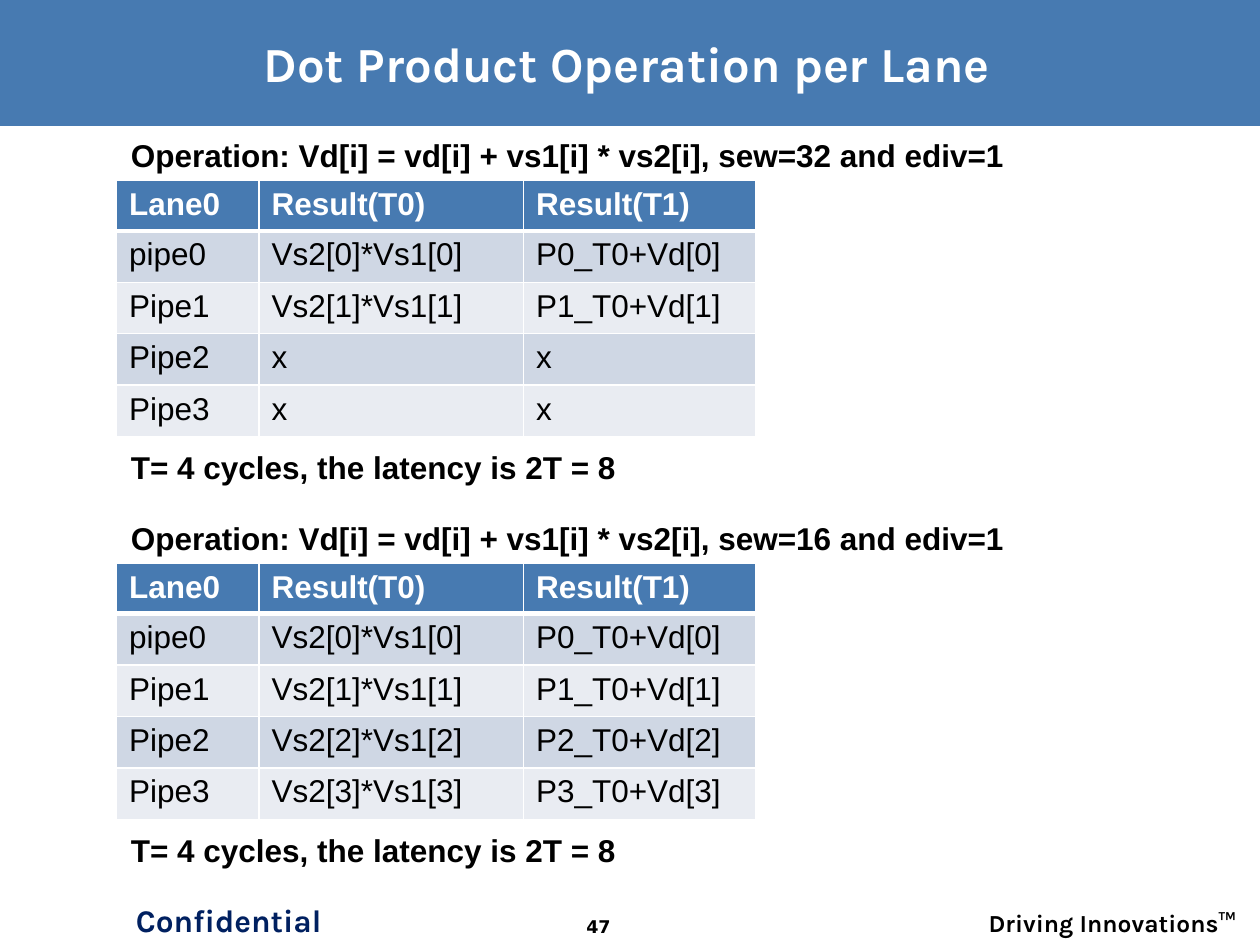
import dataclasses

import lxml.etree
import pptx
import pptx.dml.color
import pptx.enum.shapes
import pptx.enum.text
import pptx.oxml.ns
import pptx.util

Pt = pptx.util.Pt
ALIGN = pptx.enum.text.PP_ALIGN
BLUE, WHITE, BLACK, NAVY = "477AB1", "FFFFFF", "000000", "002060"
BAND_COLOURS = ("CFD7E4", "E9ECF2")
COLUMN_WIDTHS = (81.4, 151.2, 132.5)
HEADER_HEIGHT, ROW_HEIGHT = 27.5, 29.4
HEADINGS = ("Lane0", "Result(T0)", "Result(T1)")
PIPES = ("pipe0", "Pipe1", "Pipe2", "Pipe3")


@dataclasses.dataclass
class Label:
    text: str
    left: float
    top: float
    width: float
    height: float
    size: float = 18
    font: str = "Arial"
    colour: str = BLACK
    align: ALIGN = ALIGN.LEFT


@dataclasses.dataclass
class Section:
    element_width: int
    active_pipes: int
    top: float
    latency_top: float


FOOTERS = (
    Label("Confidential", 67.7, 511.2, 126, 30.2, 18, "Karla", NAVY, ALIGN.CENTER),
    Label("Driving Innovations™", 542.9, 515.5, 170.6, 19.4, 14, "Karla", BLACK, ALIGN.RIGHT),
    Label("47", 308.9, 519.8, 66.2, 20.2, 10, "DejaVu Sans", BLACK, ALIGN.CENTER),
)
SECTIONS = (Section(32, 2, 74.2, 252.7), Section(16, 4, 293, 471.6))


def rgb(colour: str) -> pptx.dml.color.RGBColor:
    return pptx.dml.color.RGBColor.from_string(colour)


def format_text(text_frame, size: float, font: str, colour: str, bold: bool, align) -> None:
    for paragraph in text_frame.paragraphs:
        paragraph.alignment = align
        for run in paragraph.runs:
            run.font.size = Pt(size)
            run.font.name = font
            run.font.bold = bold
            run.font.color.rgb = rgb(colour)


def add_label(slide, label: Label) -> None:
    shape = slide.shapes.add_textbox(
        Pt(label.left), Pt(label.top), Pt(label.width), Pt(label.height))
    shape.text_frame.word_wrap = True
    shape.text_frame.text = label.text
    format_text(shape.text_frame, label.size, label.font, label.colour, True, label.align)


def add_child(parent, tag: str, **attributes: str):
    return lxml.etree.SubElement(parent, pptx.oxml.ns.qn(tag), attributes)


def set_borders(cell, bottom_width: float) -> None:
    properties = cell._tc.get_or_add_tcPr()
    widths = {"a:lnL": 1, "a:lnR": 1, "a:lnT": 1, "a:lnB": bottom_width}
    for position, (tag, width) in enumerate(widths.items()):
        line = add_child(properties, tag, w=str(Pt(width)))
        add_child(add_child(line, "a:solidFill"), "a:srgbClr", val=WHITE)
        properties.insert(position, line)  # borders come before the fill


def add_banner_and_title(slide) -> None:
    banner = slide.shapes.add_shape(
        pptx.enum.shapes.MSO_SHAPE.RECTANGLE, 0, 0, Pt(720), Pt(72))
    banner.shadow.inherit = False
    banner.fill.solid()
    banner.fill.fore_color.rgb = rgb(BLUE)
    banner.line.fill.background()
    title = slide.shapes.title
    title._element.addprevious(banner._element)  # banner lies behind the title

    title.left, title.top, title.width, title.height = Pt(15.8), Pt(12.2), Pt(684.7), Pt(47.5)
    title.text_frame.text = "Dot Product Operation per Lane"
    title.text_frame.vertical_anchor = pptx.enum.text.MSO_ANCHOR.MIDDLE
    format_text(title.text_frame, 28, "Karla", WHITE, True, ALIGN.CENTER)

    # Text shadow, placed right after the run's fill
    properties = title.text_frame.paragraphs[0].runs[0].font._element
    effects = add_child(properties, "a:effectLst")
    shadow = add_child(effects, "a:outerShdw", dist=str(Pt(2)), dir="2700000", algn="tl")
    add_child(shadow, "a:srgbClr", val=BLACK)
    properties.find(pptx.oxml.ns.qn("a:solidFill")).addnext(effects)


def table_rows(active_pipes: int) -> list[tuple[str, ...]]:
    rows = [HEADINGS]
    for index, pipe in enumerate(PIPES):
        if index < active_pipes:
            rows.append((pipe, f"Vs2[{index}]*Vs1[{index}]", f"P{index}_T0+Vd[{index}]"))
        else:
            rows.append((pipe, "x", "x"))
    return rows


def add_pipe_table(slide, top: float, rows: list[tuple[str, ...]]) -> None:
    height = HEADER_HEIGHT + ROW_HEIGHT * len(PIPES)
    table = slide.shapes.add_table(
        len(rows), len(HEADINGS), Pt(66.6), Pt(top), Pt(sum(COLUMN_WIDTHS)), Pt(height)).table
    for column, width in zip(table.columns, COLUMN_WIDTHS):
        column.width = Pt(width)
    for row_index, values in enumerate(rows):
        header = row_index == 0
        table.rows[row_index].height = Pt(HEADER_HEIGHT if header else ROW_HEIGHT)
        for column_index, value in enumerate(values):
            cell = table.cell(row_index, column_index)
            cell.text_frame.text = value
            format_text(cell.text_frame, 18, "Arial", WHITE if header else BLACK,
                        header, ALIGN.LEFT)
            cell.fill.solid()
            cell.fill.fore_color.rgb = rgb(BLUE if header else BAND_COLOURS[(row_index - 1) % 2])
            set_borders(cell, 3 if header else 1)


def add_section(slide, section: Section) -> None:
    operation = f"Operation: Vd[i] = vd[i] + vs1[i] * vs2[i], sew={section.element_width} and ediv=1"
    add_label(slide, Label(operation, 67.7, section.top, 635, 28.8))
    add_pipe_table(slide, section.top + 28.9, table_rows(section.active_pipes))
    add_label(slide, Label("T= 4 cycles, the latency is 2T = 8",
                           67.7, section.latency_top, 360.7, 28.8))


def main() -> None:
    presentation = pptx.Presentation()
    presentation.slide_width, presentation.slide_height = Pt(720), Pt(540)
    slide = presentation.slides.add_slide(presentation.slide_layouts[5])
    add_banner_and_title(slide)
    for footer in FOOTERS:
        add_label(slide, footer)
    for section in SECTIONS:
        add_section(slide, section)
    presentation.save("out.pptx")


if __name__ == "__main__":
    main()
